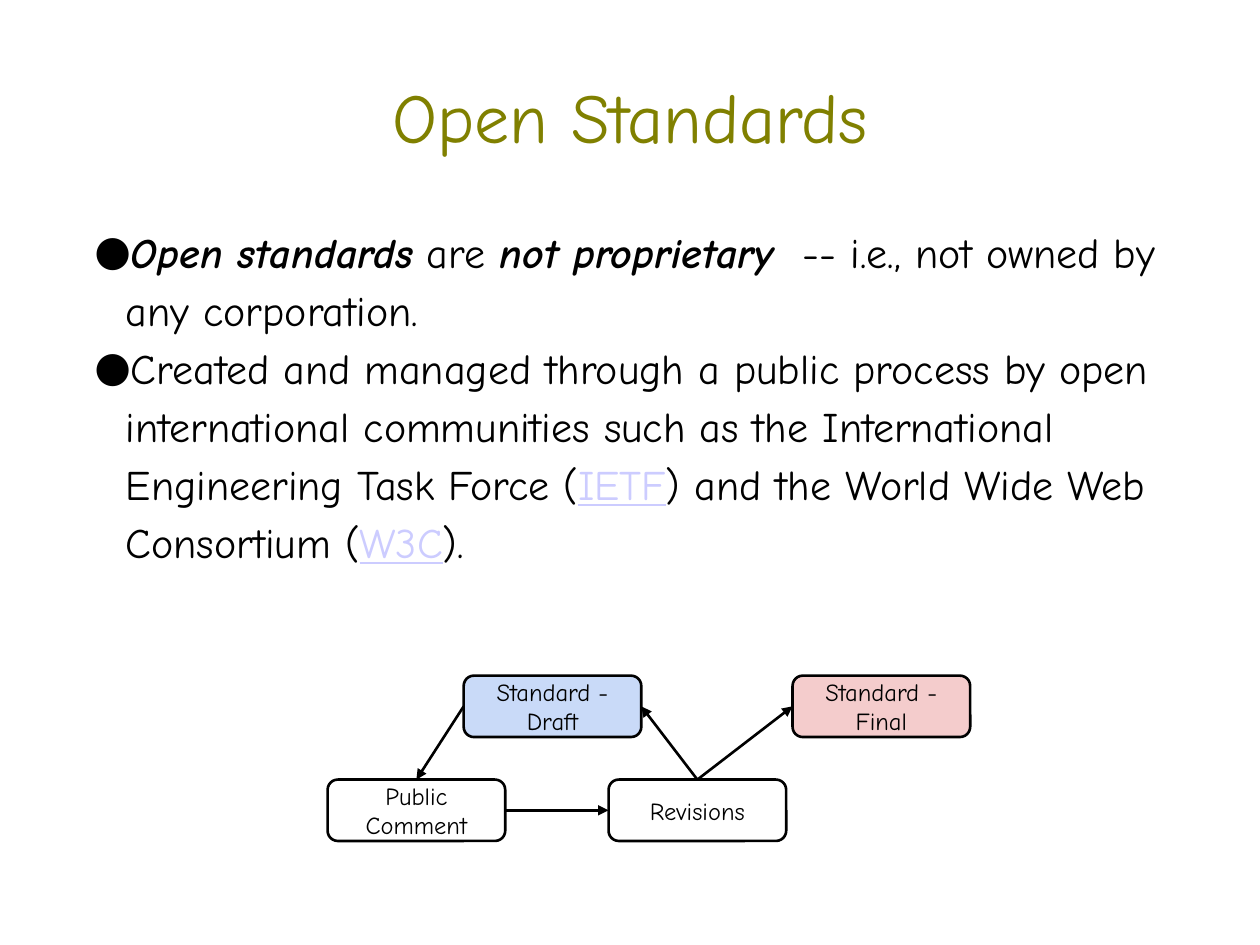
import pptx
import pptx.util
import pptx.dml.color
import pptx.enum.shapes
import pptx.enum.text
import pptx.oxml.ns
import lxml.etree

Pt = pptx.util.Pt
ALIGN = pptx.enum.text.PP_ALIGN
ANCHOR = pptx.enum.text.MSO_ANCHOR
FONT = "Comic Neue"
COLORS = {"title": "808000", "text": "000000", "link": "CCCCFF",
          "draft": "C9DAF8", "final": "F4CCCC"}

prs = pptx.Presentation()
prs.slide_width = pptx.util.Inches(10)
prs.slide_height = pptx.util.Inches(7.5)
W, H = prs.slide_width, prs.slide_height
s = prs.slides.add_slide(prs.slide_layouts[6])


def rgb(name):
    return pptx.dml.color.RGBColor.from_string(COLORS[name])


def style(r, size, color="text"):
    r.font.name = FONT
    r.font.size = Pt(size)
    r.font.color.rgb = rgb(color)


sp = s.shapes.add_textbox(int(W * 0.075), int(H * 0.056), int(W * 0.85), int(H * 0.133))
tf = sp.text_frame
tf.word_wrap = True
tf.vertical_anchor = ANCHOR.MIDDLE
p = tf.paragraphs[0]
p.text = "Open Standards"
p.alignment = ALIGN.CENTER
style(p.runs[0], 40, "title")

steps = [
    ("Standard - Draft", 0.368, 0.715, "draft"),
    ("Public Comment", 0.26, 0.825, None),
    ("Revisions", 0.483, 0.825, None),
    ("Standard - Final", 0.629, 0.715, "final"),
]
boxes = {}
for label, x, y, fill in steps:
    sp = s.shapes.add_shape(
        pptx.enum.shapes.MSO_SHAPE.FLOWCHART_ALTERNATE_PROCESS,
        int(W * x), int(H * y), int(W * 0.141), int(H * 0.065))
    sp.shadow.inherit = False
    if fill:
        sp.fill.solid()
        sp.fill.fore_color.rgb = rgb(fill)
    else:
        sp.fill.background()
    sp.line.color.rgb = rgb("text")
    sp.line.width = Pt(1.5)
    tf = sp.text_frame
    tf.word_wrap = True
    tf.vertical_anchor = ANCHOR.MIDDLE
    tf.margin_left = tf.margin_right = tf.margin_top = tf.margin_bottom = pptx.util.Inches(0.1)
    p = tf.paragraphs[0]
    p.text = label
    p.alignment = ALIGN.CENTER
    style(p.runs[0], 14)
    boxes[label] = sp

TOP, LEFT, RIGHT = 0, 1, 3
arrows = [
    ("Standard - Draft", LEFT, "Public Comment", TOP),
    ("Public Comment", RIGHT, "Revisions", LEFT),
    ("Revisions", TOP, "Standard - Draft", RIGHT),
    ("Revisions", TOP, "Standard - Final", LEFT),
]
for start, start_side, end, end_side in arrows:
    c = s.shapes.add_connector(pptx.enum.shapes.MSO_CONNECTOR.STRAIGHT, 0, 0, 0, 0)
    c.begin_connect(boxes[start], start_side)
    c.end_connect(boxes[end], end_side)
    c.line.color.rgb = rgb("text")
    c.line.width = Pt(1.5)
    ln = c.line._get_or_add_ln()
    lxml.etree.SubElement(ln, pptx.oxml.ns.qn("a:tailEnd"), type="triangle")
    lxml.etree.SubElement(c._element.spPr, pptx.oxml.ns.qn("a:effectLst"))

bullets = [
    [("Open standards", "strong"), (" are ", ""), ("not proprietary ", "strong"),
     (" -- i.e., not owned by any corporation.", "")],
    [("Created and managed through a public process by open international communities "
      "such as the International Engineering Task Force (", ""), ("IETF", "link"),
     (") and the World Wide Web Consortium (", ""), ("W3C", "link"), (").", "")],
]
sp = s.shapes.add_textbox(int(W * 0.04), int(H * 0.225), int(W * 0.92), int(H * 0.49))
tf = sp.text_frame
tf.word_wrap = True
for i, parts in enumerate(bullets):
    p = tf.paragraphs[0] if i == 0 else tf.add_paragraph()
    p.line_spacing = 1.15
    pPr = p._p.get_or_add_pPr()
    pPr.set("marL", str(pptx.util.Inches(0.5)))
    pPr.set("indent", str(pptx.util.Inches(-0.25)))
    clr = lxml.etree.SubElement(pPr, pptx.oxml.ns.qn("a:buClr"))
    lxml.etree.SubElement(clr, pptx.oxml.ns.qn("a:srgbClr"), val=COLORS["text"])
    lxml.etree.SubElement(pPr, pptx.oxml.ns.qn("a:buFont"), typeface=FONT)
    lxml.etree.SubElement(pPr, pptx.oxml.ns.qn("a:buChar"), char="●")
    for text, kind in parts:
        r = p.add_run()
        r.text = text
        style(r, 24, "link" if kind == "link" else "text")
        r.font.bold = r.font.italic = kind == "strong"
        r.font.underline = kind == "link"

prs.save("out.pptx")
